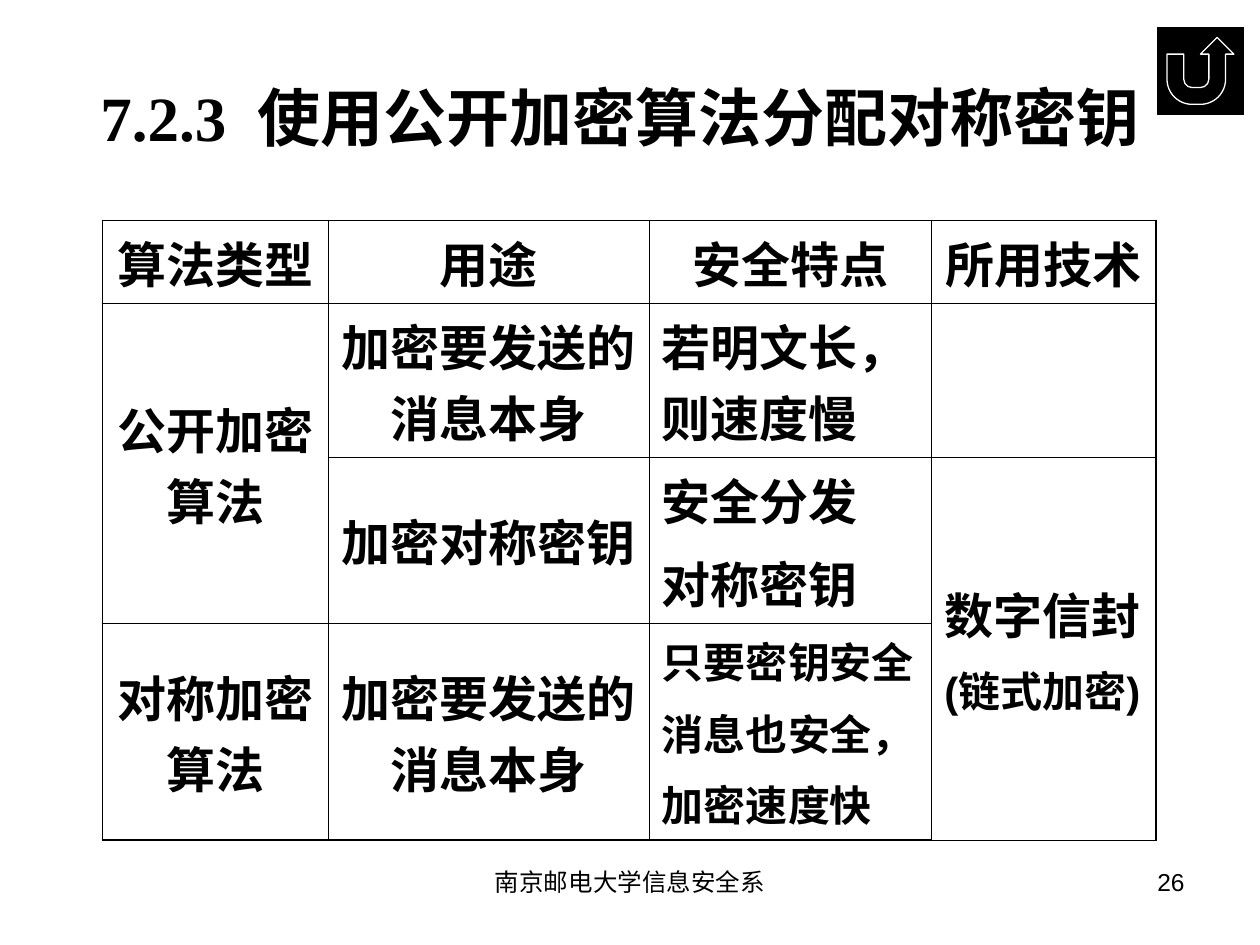
"""Builds the slide on distributing symmetric keys with public-key encryption."""
import pptx
import pptx.dml.color
import pptx.enum.shapes
import pptx.enum.text
import pptx.oxml
import pptx.oxml.ns
import pptx.util

Pt = pptx.util.Pt
ALIGN = pptx.enum.text.PP_ALIGN
MIDDLE = pptx.enum.text.MSO_ANCHOR.MIDDLE
COLORS = {"ink": "000000", "paper": "FFFFFF"}


def style_paragraph(paragraph, size, align, font="Arial", bold=False):
    paragraph.alignment = align
    for run in paragraph.runs:
        run.font.size = Pt(size)
        run.font.name = font
        run.font.bold = bold
        run.font.color.rgb = pptx.dml.color.RGBColor.from_string(COLORS["ink"])


def add_label(left, top, width, height, text, size, align, **style):
    label = slide.shapes.add_textbox(Pt(left), Pt(top), Pt(width), Pt(height))
    label.text_frame.word_wrap = True
    label.text_frame.text = text
    style_paragraph(label.text_frame.paragraphs[0], size, align, **style)
    return label.text_frame


deck = pptx.Presentation()
deck.slide_width, deck.slide_height = Pt(720), Pt(540)
slide = deck.slides.add_slide(deck.slide_layouts[6])

add_label(246, 492, 228, 37.5, "南京邮电大学信息安全系", 14, ALIGN.CENTER)
add_label(516, 492, 168, 37.5, "26", 14, ALIGN.RIGHT)

title = add_label(36, 21.6, 648, 90, "7.2.3", 36, ALIGN.CENTER)
title.vertical_anchor = MIDDLE
title.margin_right = Pt(18.3)
heading = title.paragraphs[0]
gap = heading.add_run()
gap.text = " "
gap.font._element.set("spc", "900")
heading.add_run().text = "使用公开加密算法分配对称密钥"
style_paragraph(heading, 36, ALIGN.CENTER, font="Times New Roman", bold=True)

return_button = slide.shapes.add_shape(
    pptx.enum.shapes.MSO_SHAPE.ACTION_BUTTON_RETURN, Pt(660.5), Pt(15), Pt(51), Pt(51))
return_button.shadow.inherit = False
return_button.fill.solid()
return_button.fill.fore_color.rgb = pptx.dml.color.RGBColor.from_string(COLORS["ink"])
return_button.line.color.rgb = pptx.dml.color.RGBColor.from_string(COLORS["paper"])
return_button.line.width = Pt(0.75)

column_widths = [128.9, 183.6, 161.3, 128.2]
row_heights = [47.5, 87.8, 95, 123.8]
algorithms = [
    ["算法类型", "用途", "安全特点", "所用技术"],
    ["公开加密算法", "加密要发送的消息本身", "若明文长，则速度慢", ""],
    ["", "加密对称密钥", "安全分发\n对称密钥", "数字信封\n(链式加密)"],
    ["对称加密算法", "加密要发送的消息本身", "只要密钥安全\n消息也安全，\n加密速度快", ""],
]
small_lines = {"(链式加密)", "只要密钥安全", "消息也安全，", "加密速度快"}
last_row, last_column = len(row_heights) - 1, len(column_widths) - 1

comparison = slide.shapes.add_table(
    len(row_heights), len(column_widths), Pt(58.6), Pt(126),
    Pt(sum(column_widths)), Pt(sum(row_heights))).table
comparison.first_row = comparison.horz_banding = False
for column, width in zip(comparison.columns, column_widths):
    column.width = Pt(width)
for row, height in zip(comparison.rows, row_heights):
    row.height = Pt(height)
comparison.cell(1, 0).merge(comparison.cell(2, 0))
comparison.cell(2, 3).merge(comparison.cell(3, 3))

for r, entries in enumerate(algorithms):
    for c, entry in enumerate(entries):
        cell = comparison.cell(r, c)
        cell.fill.background()
        cell.margin_left = cell.margin_right = Pt(7.2)
        cell.margin_top = cell.margin_bottom = Pt(3.6)
        if r > 0:
            cell.vertical_anchor = MIDDLE
        cell.text_frame.text = entry
        align = ALIGN.CENTER if r == 0 or c < 2 else ALIGN.LEFT
        for i, paragraph in enumerate(cell.text_frame.paragraphs):
            size = 24 if paragraph.text in small_lines else 28
            style_paragraph(paragraph, size, align, bold=True)
            if i > 0:
                paragraph.space_before = Pt(size / 4)

        outer_edges = {"L": c == 0, "R": c == last_column, "T": r == 0, "B": r == last_row}
        cell_properties = cell._tc.get_or_add_tcPr()
        for position, (side, is_outer) in enumerate(outer_edges.items()):
            width = Pt(1.08 if is_outer else 0.45)
            cell_properties.insert(position, pptx.oxml.parse_xml(
                f'<a:ln{side} {pptx.oxml.ns.nsdecls("a")} w="{width}"><a:solidFill>'
                f'<a:srgbClr val="{COLORS["ink"]}"/></a:solidFill></a:ln{side}>'))

deck.save("out.pptx")
